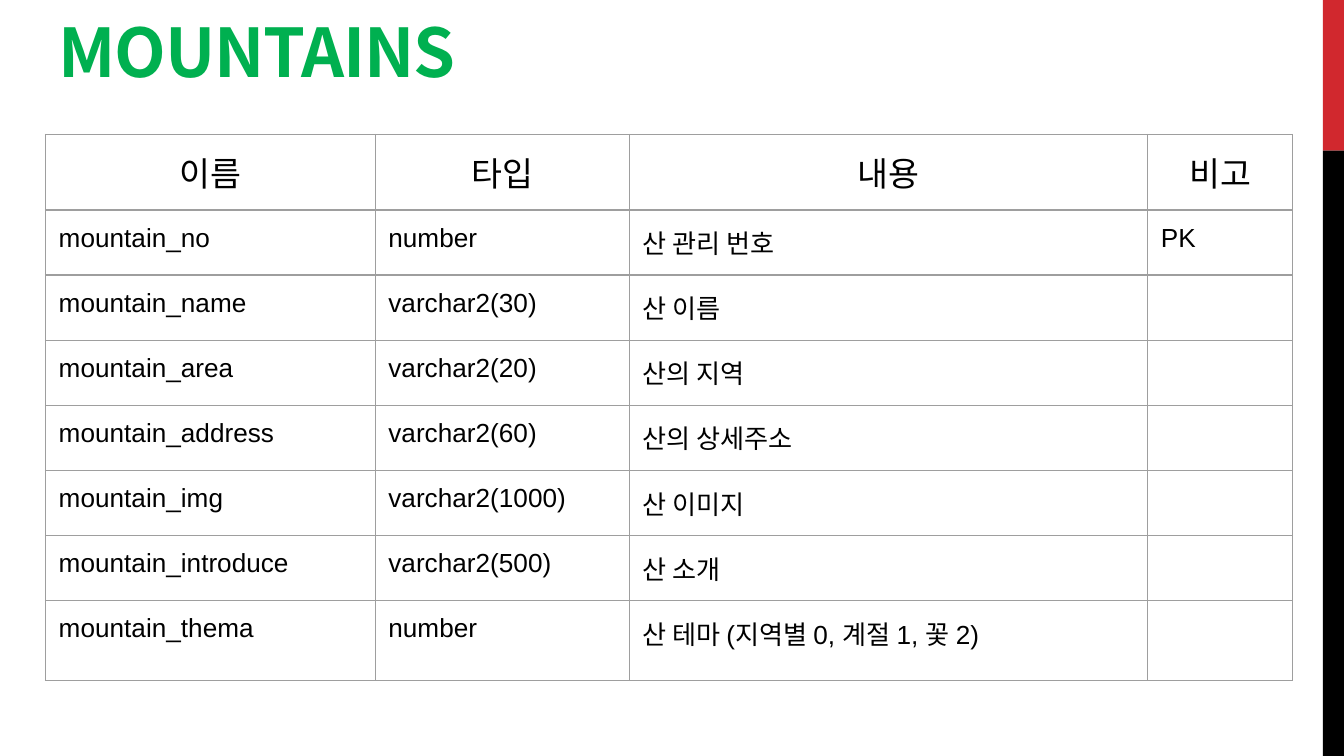
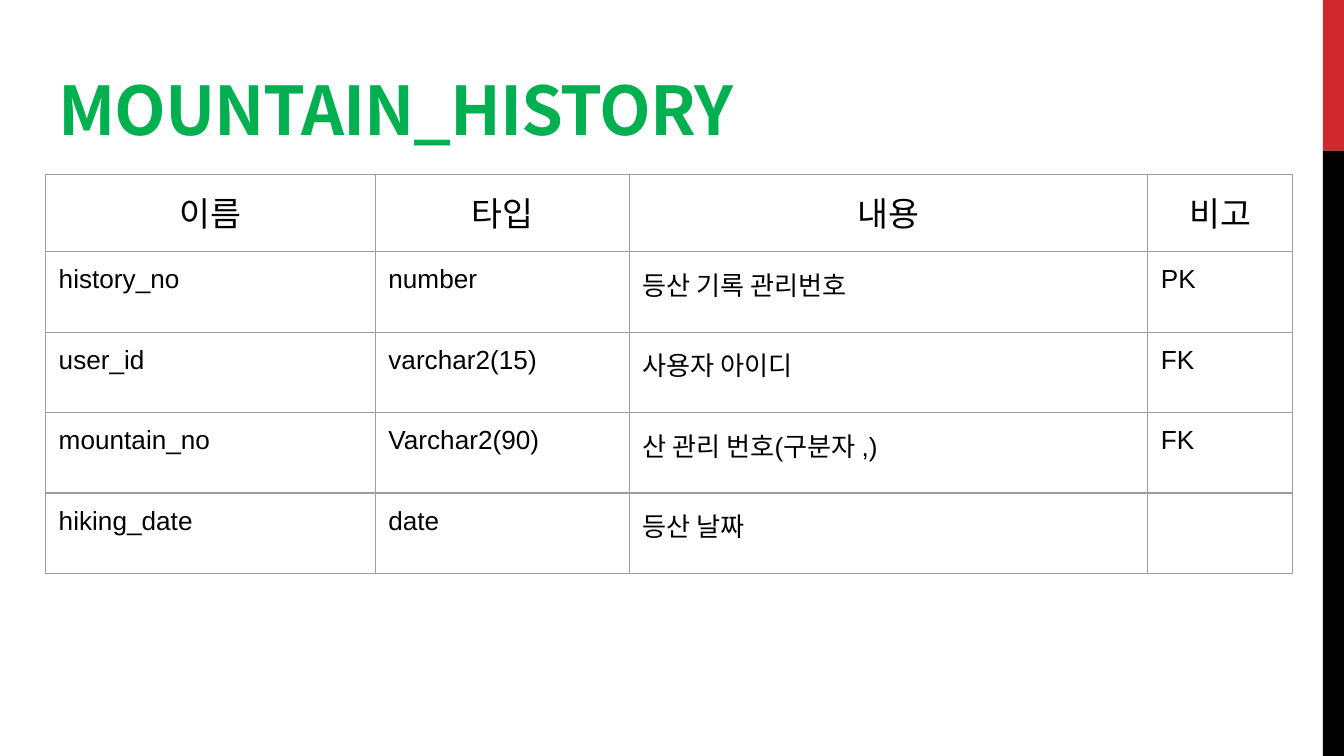
from dataclasses import dataclass

from lxml import etree
from pptx import Presentation
from pptx import util as u
from pptx.dml.color import RGBColor
from pptx.enum import shapes, text
from pptx.oxml import ns

HEADER = ("이름", "타입", "내용", "비고")

# Lengths are in centimetres.
TABLES = [
    {
        "title": "MOUNTAINS", "title_top": 0.15, "table_top": 2.54,
        "row_heights": [1.43] + [1.23] * 6 + [1.52],
        "rows": [
            ("mountain_no", "number", "산 관리 번호", "PK"),
            ("mountain_name", "varchar2(30)", "산 이름", ""),
            ("mountain_area", "varchar2(20)", "산의 지역", ""),
            ("mountain_address", "varchar2(60)", "산의 상세주소", ""),
            ("mountain_img", "varchar2(1000)", "산 이미지", ""),
            ("mountain_introduce", "varchar2(500)", "산 소개", ""),
            ("mountain_thema", "number", "산 테마 (지역별 0, 계절 1, 꽃 2)", ""),
        ],
    },
    {
        "title": "MOUNTAIN_HISTORY", "title_top": 1.24, "table_top": 3.3,
        "row_heights": [1.46] + [1.52] * 4,
        "rows": [
            ("history_no", "number", "등산 기록 관리번호", "PK"),
            ("user_id", "varchar2(15)", "사용자 아이디", "FK"),
            ("mountain_no", "Varchar2(90)", "산 관리 번호(구분자 ,)", "FK"),
            ("hiking_date", "date", "등산 날짜", ""),
        ],
    },
]


@dataclass(frozen=True)
class Theme:
    title_color: str = "00B050"
    text_color: str = "000000"
    border_color: str = "9E9E9E"
    accent: str = "D1282E"
    dark: str = "000000"
    title_font: str = "Noto Sans CJK KR"
    body_font: str = "Arial"
    title_size: int = 36
    header_size: int = 18
    body_size: int = 14
    border_width: float = 0.75


T = Theme()
PAGE_W, PAGE_H = 25.4, 14.29
LEFT = 0.86
TITLE_W, TITLE_H = 23.67, 1.6
COLUMNS = (6.23, 4.8, 9.8, 2.74)
INSET = 0.25
BAND_W, ACCENT_H = 0.4, 2.85


def set_font(p, name, size, color, bold=False):
    p.font.name = name
    p.font.size = u.Pt(size)
    p.font.bold = bold
    p.font.color.rgb = RGBColor.from_string(color)


def set_margins(box):
    box.margin_left = box.margin_right = u.Cm(INSET)
    box.margin_top = box.margin_bottom = u.Cm(INSET)


def add_side_bands(s):
    bands = ((0, ACCENT_H, T.accent), (ACCENT_H, PAGE_H - ACCENT_H, T.dark))
    for top, height, color in bands:
        sp = s.shapes.add_shape(shapes.MSO_SHAPE.RECTANGLE, u.Cm(PAGE_W - BAND_W),
                                u.Cm(top), u.Cm(BAND_W), u.Cm(height))
        sp.shadow.inherit = False
        sp.fill.solid()
        sp.fill.fore_color.rgb = RGBColor.from_string(color)
        sp.line.fill.background()


def add_title(s, title, top):
    sp = s.shapes.add_textbox(u.Cm(LEFT), u.Cm(top), u.Cm(TITLE_W), u.Cm(TITLE_H))
    tf = sp.text_frame
    tf.word_wrap = True
    tf.vertical_anchor = text.MSO_ANCHOR.TOP
    set_margins(tf)
    p = tf.paragraphs[0]
    p.line_spacing = 0.88
    set_font(p, T.title_font, T.title_size, T.title_color, bold=True)
    r = p.add_run()
    r.text = title
    r._r.get_or_add_rPr().set("spc", "-60")


def add_borders(cell):
    tcPr = cell._tc.get_or_add_tcPr()
    for side in ("lnL", "lnR", "lnT", "lnB"):
        ln = etree.SubElement(tcPr, ns.qn(f"a:{side}"), w=str(u.Pt(T.border_width)))
        fill = etree.SubElement(ln, ns.qn("a:solidFill"))
        etree.SubElement(fill, ns.qn("a:srgbClr"), val=T.border_color)


def add_column_table(s, rows, top, row_heights):
    table = s.shapes.add_table(len(rows), len(COLUMNS), u.Cm(LEFT), u.Cm(top),
                               u.Cm(sum(COLUMNS)), u.Cm(sum(row_heights))).table
    table.first_row = table.horz_banding = False
    for column, width in zip(table.columns, COLUMNS):
        column.width = u.Cm(width)
    for i, (row, height) in enumerate(zip(rows, row_heights)):
        table.rows[i].height = u.Cm(height)
        for cell, value in zip(table.rows[i].cells, row):
            add_borders(cell)
            cell.fill.background()
            set_margins(cell)
            p = cell.text_frame.paragraphs[0]
            set_font(p, T.body_font, T.body_size if i else T.header_size, T.text_color)
            if i == 0:
                p.alignment = text.PP_ALIGN.CENTER
            if value:
                p.add_run().text = value


def main():
    prs = Presentation()
    prs.slide_width, prs.slide_height = u.Cm(PAGE_W), u.Cm(PAGE_H)
    for spec in TABLES:
        s = prs.slides.add_slide(prs.slide_layouts[6])
        add_side_bands(s)
        add_title(s, spec["title"], spec["title_top"])
        add_column_table(s, [HEADER] + spec["rows"], spec["table_top"],
                         spec["row_heights"])
    prs.save("out.pptx")


if __name__ == "__main__":
    main()
